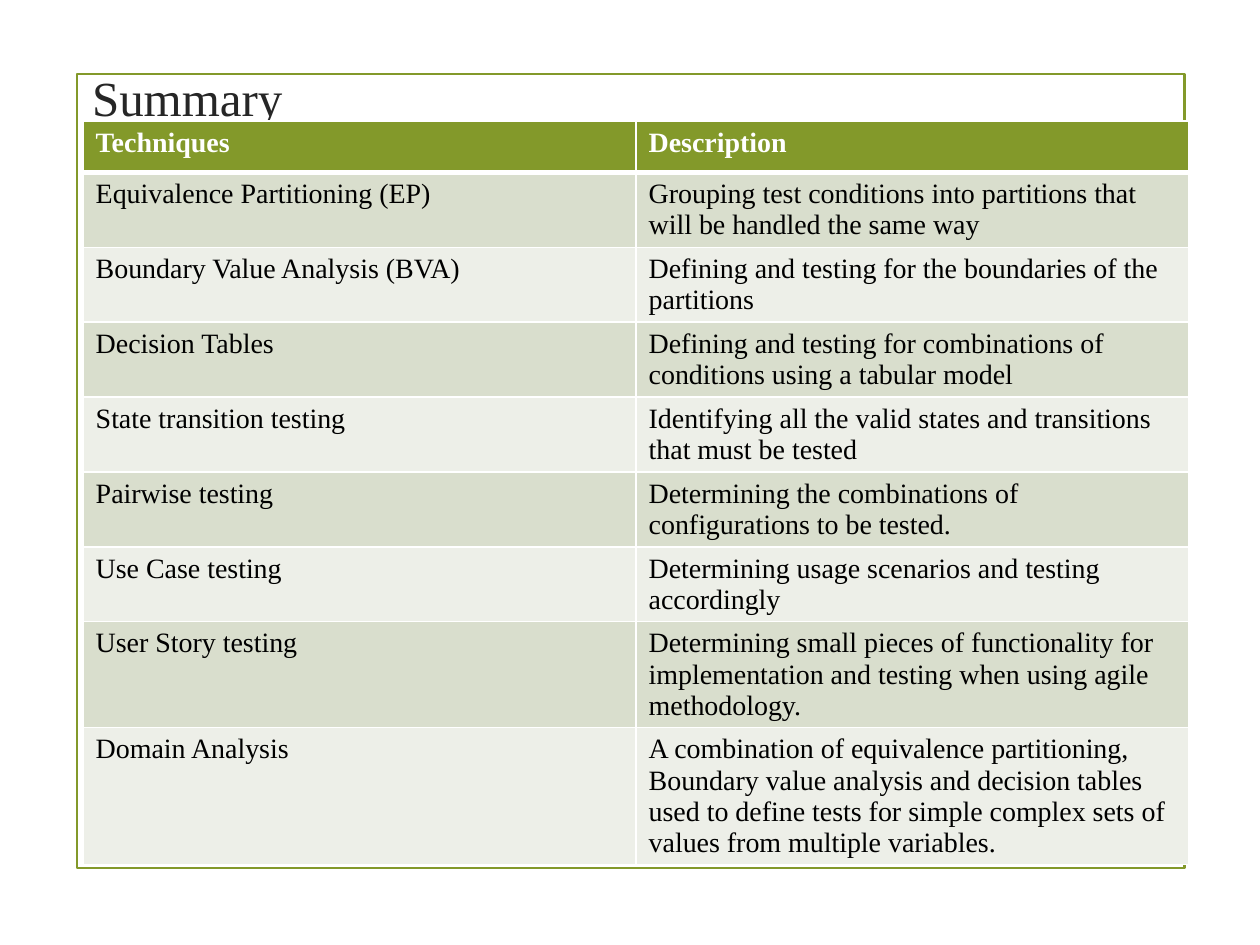
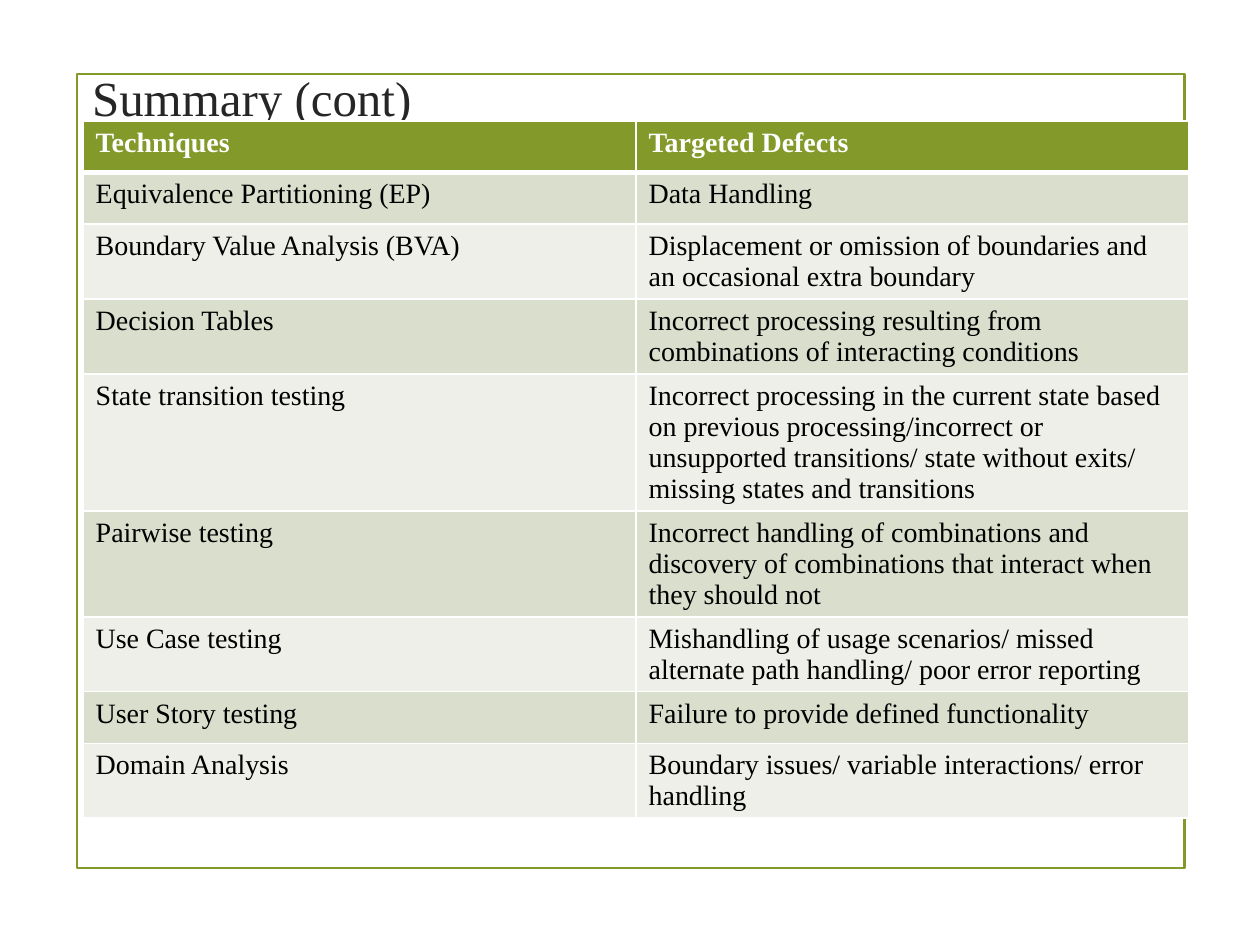
"""Build two summary slides that tabulate test techniques."""
from pptx import Presentation
from pptx.dml.color import RGBColor as Rgb
from pptx.enum.shapes import MSO_SHAPE as Kind
from pptx.enum.text import MSO_ANCHOR as Anchor, MSO_AUTO_SIZE as Auto, PP_ALIGN as Align
from pptx.oxml import parse_xml
from pptx.oxml.ns import nsdecls
from pptx.util import Pt

theme = {
    "green": "83992A",
    "white": "FFFFFF",
    "bands": ["EDEFE8", "D9DECD"],
    "title": {"name": "Times New Roman", "size": Pt(28), "bold": False},
    "head": {"name": "Times New Roman", "size": Pt(16), "bold": True},
    "cell": {"name": "Times New Roman", "size": Pt(16), "bold": False},
    "ink": {"title": "262626", "head": "FFFFFF", "cell": "000000"},
}

names = [
    "Techniques",
    "Equivalence Partitioning (EP)",
    "Boundary Value Analysis (BVA)",
    "Decision Tables",
    "State transition testing",
    "Pairwise testing",
    "Use Case testing",
    "User Story testing",
    "Domain Analysis",
]
pages = {
    "Summary": [
        "Description",
        "Grouping test conditions into partitions that will be handled the same way",
        "Defining and testing for the boundaries of the partitions",
        "Defining and testing for combinations of conditions using a tabular model",
        "Identifying all the valid states and transitions that must be tested",
        "Determining the combinations of configurations to be tested.",
        "Determining usage scenarios and testing accordingly",
        "Determining small pieces of functionality for implementation and testing "
        "when using agile methodology.",
        "A combination of equivalence partitioning, Boundary value analysis and "
        "decision tables used to define tests for simple complex sets of values "
        "from multiple variables.",
    ],
    "Summary (cont)": [
        "Targeted Defects",
        "Data Handling",
        "Displacement or omission of boundaries and an occasional extra boundary",
        "Incorrect processing resulting from combinations of interacting conditions",
        "Incorrect processing in the current state based on previous "
        "processing/incorrect or unsupported transitions/ state without exits/ "
        "missing states and transitions",
        "Incorrect handling of combinations and discovery of combinations that "
        "interact when they should not",
        "Mishandling of usage scenarios/ missed alternate path handling/ poor error reporting",
        "Failure to provide defined functionality",
        "Boundary issues/ variable interactions/ error handling",
    ],
}


def write(frame, text, role):
    """Put text in a frame in the style of its role."""
    frame.text = text
    para = frame.paragraphs[0]
    para.alignment = Align.LEFT
    for key, value in theme[role].items():
        setattr(para.font, key, value)
    para.font.color.rgb = Rgb.from_string(theme["ink"][role])


def edge(cell, side, width):
    """Draw one white border of a cell."""
    cell._tc.get_or_add_tcPr().append(parse_xml(
        f'<a:ln{side} {nsdecls("a")} w="{Pt(width)}"><a:solidFill>'
        f'<a:srgbClr val="{theme["white"]}"/></a:solidFill></a:ln{side}>'))


deck = Presentation()
deck.slide_width, deck.slide_height = Pt(720), Pt(540)
layout = deck.slide_layouts[5]

for topic, notes in pages.items():
    slide = deck.slides.add_slide(layout)
    title = slide.shapes.title
    place = {"left": Pt(45.4), "top": Pt(44), "width": Pt(632), "height": Pt(23)}
    for key, value in place.items():
        setattr(title, key, value)
    write(title.text_frame, topic, "title")
    form = {"vertical_anchor": Anchor.MIDDLE, "auto_size": Auto.NONE, "word_wrap": True}
    for key, value in form.items():
        setattr(title.text_frame, key, value)

    table = slide.shapes.add_table(
        len(names), 2, Pt(47.5), Pt(69.1), Pt(632), Pt(29.5 * len(names))).table
    for row, pair in enumerate(zip(names, notes)):
        for col, text in enumerate(pair):
            cell = table.cell(row, col)
            write(cell.text_frame, text, "cell" if row else "head")
            for side in "LRTB":
                thick = (row, side) in [(0, "B"), (1, "T")]
                edge(cell, side, 3 if thick else 1)
            cell.fill.solid()
            shade = theme["bands"][row % 2] if row else theme["green"]
            cell.fill.fore_color.rgb = Rgb.from_string(shade)

border = slide.shapes.add_shape(Kind.RECTANGLE, Pt(43.9), Pt(42.5), Pt(633), Pt(453.5))
border.shadow.inherit = False
border.fill.background()
border.line.color.rgb = Rgb.from_string(theme["green"])
border.line.width = Pt(1.25)
border.element.nvSpPr.cNvPr.set("id", "20")
layout.shapes.element.insert(2, border.element)

deck.save("out.pptx")
